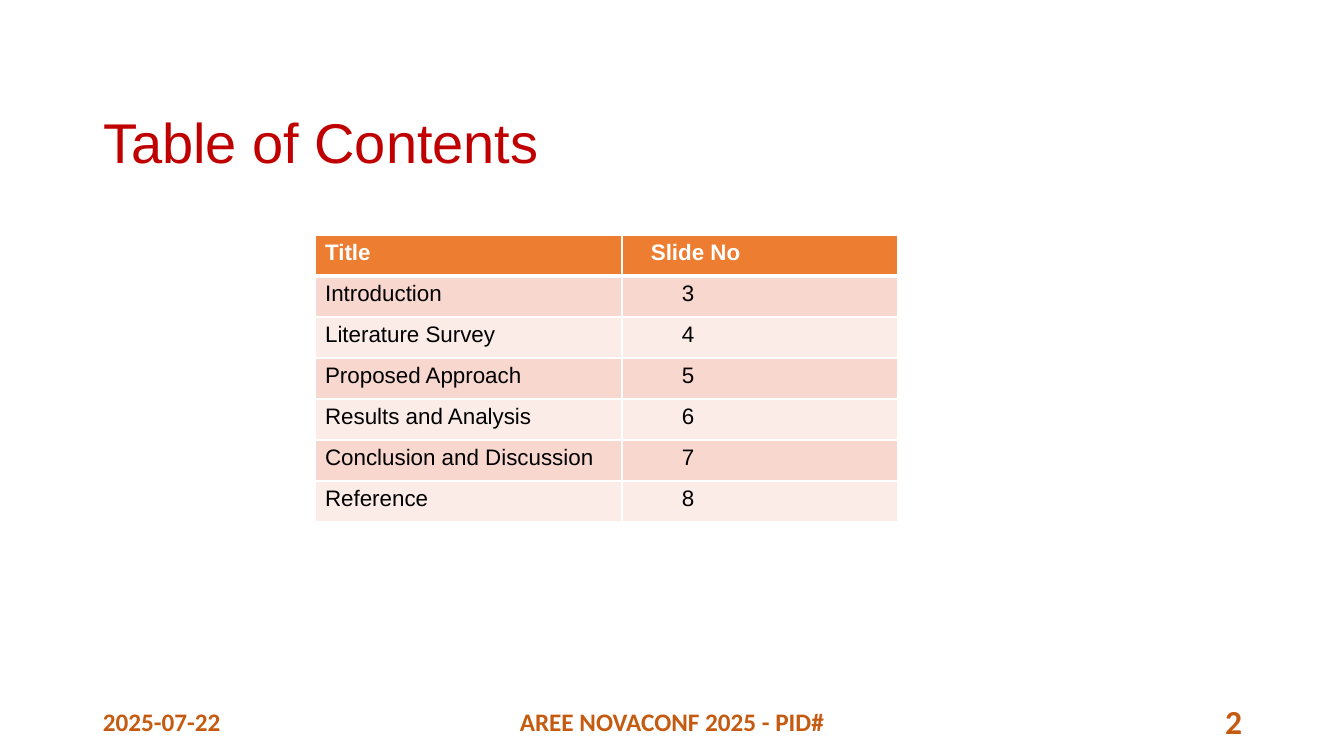
"""Build a table-of-contents slide with a title, a banded table and a footer."""
from lxml import etree
from pptx import Presentation
from pptx import util as u
from pptx.dml.color import RGBColor
from pptx.enum import text
from pptx.oxml.ns import qn

SCALE = 914400 / 100.8
RED, ORANGE, RUST, WHITE, BLACK = "C00000", "ED7D31", "C55A11", "FFFFFF", "000000"
BANDS = ("F8D7CE", "FCECE8")
CONTENTS = [
    ("Title", "Slide No"),
    ("Introduction", "3"),
    ("Literature Survey", "4"),
    ("Proposed Approach", "5"),
    ("Results and Analysis", "6"),
    ("Conclusion and Discussion", "7"),
    ("Reference", "8"),
]


def px(n):
    """Turn pixels into EMU."""
    return u.Emu(round(n * SCALE))


def color(value):
    """Turn a hex string into a colour."""
    return RGBColor.from_string(value)


def write(tf, words, size, font, fill, bold=False, align=text.PP_ALIGN.LEFT):
    """Put one formatted paragraph into a text frame."""
    tf.text = words
    p = tf.paragraphs[0]
    p.alignment = align
    f = p.runs[0].font
    f.size, f.name, f.bold = u.Pt(size), font, bold
    f.color.rgb = color(fill)
    return p


def border(cell, side, width):
    """Draw a white border on one side of a cell."""
    ln = etree.SubElement(cell._tc.get_or_add_tcPr(), qn(f"a:ln{side}"), w=str(u.Pt(width)))
    fill = etree.SubElement(ln, qn("a:solidFill"))
    etree.SubElement(fill, qn("a:srgbClr"), val=WHITE)


def add_title(s, x, y, w, h):
    """Place and format the slide title."""
    sp = s.shapes.title
    sp.left, sp.top, sp.width, sp.height = map(px, (x, y, w, h))
    tf = sp.text_frame
    tf.auto_size = text.MSO_AUTO_SIZE.NONE
    tf.vertical_anchor = text.MSO_ANCHOR.MIDDLE
    write(tf, "Table of Contents", 40, "Arial", RED).line_spacing = 0.9


def add_contents(s, x, y, widths, row_h):
    """Place the contents table with a header and banded rows."""
    rows = len(CONTENTS)
    tbl = s.shapes.add_table(rows, len(widths), px(x), px(y), px(sum(widths)), px(row_h * rows)).table
    for col, w in zip(tbl.columns, widths):
        col.width = px(w)
    for i, entry in enumerate(CONTENTS):
        head = i == 0
        tbl.rows[i].height = px(row_h)
        for j, words in enumerate(entry):
            cell = tbl.cell(i, j)
            if j == 1:
                cell.margin_left = px(29 if head else 60)
            for side in "LRTB":
                thick = (side == "B" and head) or (side == "T" and i == 1)
                border(cell, side, 3 if thick else 1)
            cell.fill.solid()
            cell.fill.fore_color.rgb = color(ORANGE if head else BANDS[(i - 1) % 2])
            write(cell.text_frame, words, 16, "Arial", WHITE if head else BLACK, head)


def add_footer(s, x, y, w, h):
    """Place date, event and slide number along the bottom."""
    side, middle = 302, 454
    parts = [
        ("2025-07-22", x, side, 18, text.PP_ALIGN.LEFT),
        ("AREE NOVACONF 2025 - PID#", x + (w - middle) // 2, middle, 18, text.PP_ALIGN.CENTER),
        ("2", x + w - side, side, 24, text.PP_ALIGN.RIGHT),
    ]
    for words, left, width, size, align in parts:
        tf = s.shapes.add_textbox(px(left), px(y), px(width), px(h)).text_frame
        tf.word_wrap = True
        tf.vertical_anchor = text.MSO_ANCHOR.MIDDLE
        write(tf, words, size, "Calibri", RUST, True, align)


def main():
    """Build and save the presentation."""
    prs = Presentation()
    prs.slide_width, prs.slide_height = px(1344), px(756)
    s = prs.slides.add_slide(prs.slide_layouts[5])
    add_title(s, 93, 72, 1159, 146)
    add_contents(s, 315, 235, (307, 276), 41)
    add_footer(s, 93, 701, 1159, 40)
    prs.save("out.pptx")


if __name__ == "__main__":
    main()
